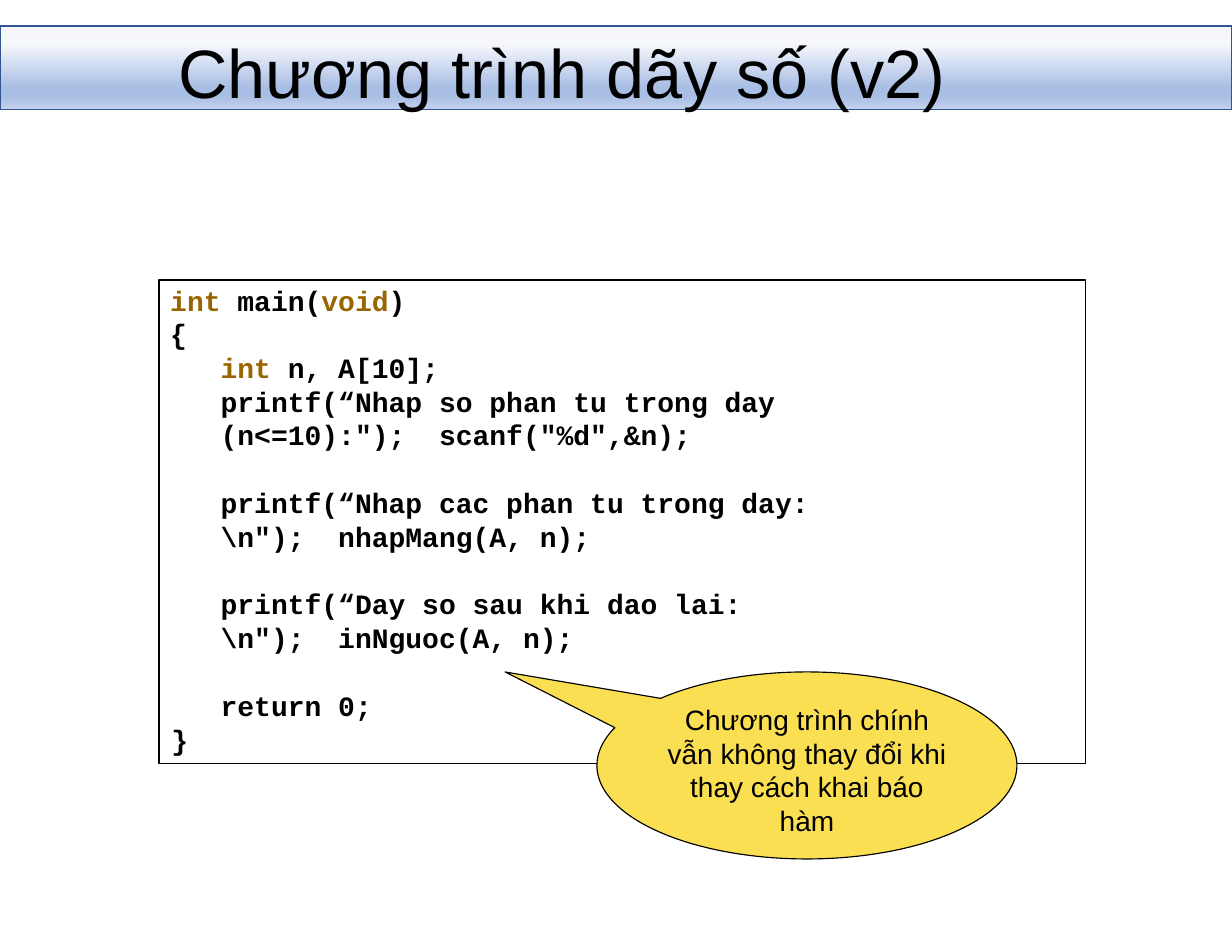
from lxml import etree
from pptx import Presentation
from pptx.dml.color import RGBColor
from pptx.enum import shapes, text
from pptx.oxml.ns import qn
from pptx.util import Inches, Pt

COLORS = {
    "ink": "000000",
    "keyword": "996500",
    "callout": "FBDF52",
    "banner_line": "31538F",
    "banner_light": "F5F7FC",
    "banner_mid": "A9BEE4",
    "banner_end": "C5D3ED",
}
BANNER_STOPS = [(0, "banner_light"), (22, "banner_light"), (74, "banner_mid"),
                (83, "banner_mid"), (100, "banner_end")]

# Each line: indent in inches, space before in points, (text, colour) spans
BODY, GAP = 0.46, 22
CODE = [
    (0.01, 0, [("int ", "keyword"), ("main(", "ink"), ("void", "keyword"), (")", "ink")]),
    (0.01, 0, [("{", "ink")]),
    (BODY, 0, [("int ", "keyword"), ("n, A[10];", "ink")]),
    (BODY, 0, [("printf(“Nhap so phan tu trong day \v(n<=10):\");  scanf(\"%d\",&n);", "ink")]),
    (BODY, GAP, [("printf(“Nhap cac phan tu trong day:\v\\n\");  nhapMang(A, n);", "ink")]),
    (BODY, GAP, [("printf(“Day so sau khi dao lai:\v\\n\");  inNguoc(A, n);", "ink")]),
    (BODY, GAP, [("return 0;", "ink")]),
    (0.02, 0, [("}", "ink")]),
]


def rgb(name):
    return RGBColor.from_string(COLORS[name])


def write(para, words, size=18, font="Arial", color="ink", bold=False):
    """Add words to a paragraph; a vertical tab breaks the line."""
    for index, part in enumerate(words.split("\v")):
        if index:
            para.add_line_break()
        span = para.add_run()
        span.text = part
        span.font.size = Pt(size)
        span.font.name = font
        span.font.bold = bold
        span.font.color.rgb = rgb(color)


class SlideBuilder:
    line_pitch = Pt(21.6)

    def __init__(self, deck):
        self.page = deck.slides.add_slide(deck.slide_layouts[5])

    def prepare(self, box, top_inset=0.01, anchor=text.MSO_ANCHOR.TOP):
        frame = box.text_frame
        frame.word_wrap = True
        frame.auto_size = text.MSO_AUTO_SIZE.NONE
        frame.vertical_anchor = anchor
        frame.margin_left = frame.margin_right = frame.margin_bottom = 0
        frame.margin_top = Inches(top_inset)
        return frame

    def shape(self, kind, place, line="ink", width=0.75, fill=None):
        shape = self.page.shapes.add_shape(kind, *map(Inches, place))
        shape.shadow.inherit = False
        shape.line.color.rgb = rgb(line)
        shape.line.width = Pt(width)
        if fill:
            shape.fill.solid()
            shape.fill.fore_color.rgb = rgb(fill)
        else:
            shape.fill.background()
        return shape

    def banner(self, place):
        """Draw the gradient bar behind everything else."""
        bar = self.shape(shapes.MSO_SHAPE.RECTANGLE, place, "banner_line", 1)
        bar.fill.gradient()
        bar.fill.gradient_angle = 270
        stops = bar._element.spPr.find(".//" + qn("a:gsLst"))
        for stop in list(stops):
            stops.remove(stop)
        for percent, name in BANNER_STOPS:
            stop = etree.SubElement(stops, qn("a:gs"), pos=str(percent * 1000))
            etree.SubElement(stop, qn("a:srgbClr"), val=COLORS[name])
        self.page.shapes._spTree.insert(2, bar._element)

    def title(self, words, place):
        box = self.page.shapes.title
        box.left, box.top, box.width, box.height = map(Inches, place)
        para = self.prepare(box, 0.08, text.MSO_ANCHOR.MIDDLE).paragraphs[0]
        para.alignment = text.PP_ALIGN.LEFT
        para._p.get_or_add_pPr().set("marL", str(Inches(0.01)))
        write(para, words, size=44)

    def code(self, lines, place):
        frame = self.prepare(self.page.shapes.add_textbox(*map(Inches, place)))
        for index, (indent, before, spans) in enumerate(lines):
            para = frame.add_paragraph() if index else frame.paragraphs[0]
            para._p.get_or_add_pPr().set("marL", str(Inches(indent)))
            para.line_spacing = self.line_pitch
            if before:
                para.space_before = Pt(before)
            for words, color in spans:
                write(para, words, font="Courier New", color=color, bold=True)

    def callout(self, words, place, tip):
        """Draw an oval callout whose pointer ends at tip."""
        left, top, width, height = place
        oval = self.shape(shapes.MSO_SHAPE.OVAL_CALLOUT, place, fill="callout")
        oval.adjustments[0] = (tip[0] - left) / width - 0.5
        oval.adjustments[1] = (tip[1] - top) / height - 0.5
        para = self.prepare(oval, 0.03).paragraphs[0]
        para.alignment = text.PP_ALIGN.CENTER
        para.line_spacing = self.line_pitch
        write(para, words)


def main():
    deck = Presentation()
    deck.slide_width, deck.slide_height = Inches(11), Inches(8.5)
    builder = SlideBuilder(deck)
    builder.banner((0, 0.23, 11, 0.75))
    builder.title("Chương trình dãy số (v2)", (1.58, 0.22, 8.75, 0.75))
    builder.shape(shapes.MSO_SHAPE.RECTANGLE, (1.42, 2.5, 8.27, 4.32))
    builder.code(CODE, (1.51, 2.52, 7.19, 4.59))
    builder.callout("Chương trình chính\vvẫn không thay đổi khi\vthay cách khai báo\vhàm",
                    (5.33, 6, 3.75, 1.67), tip=(4.51, 6))
    deck.save("out.pptx")


if __name__ == "__main__":
    main()
